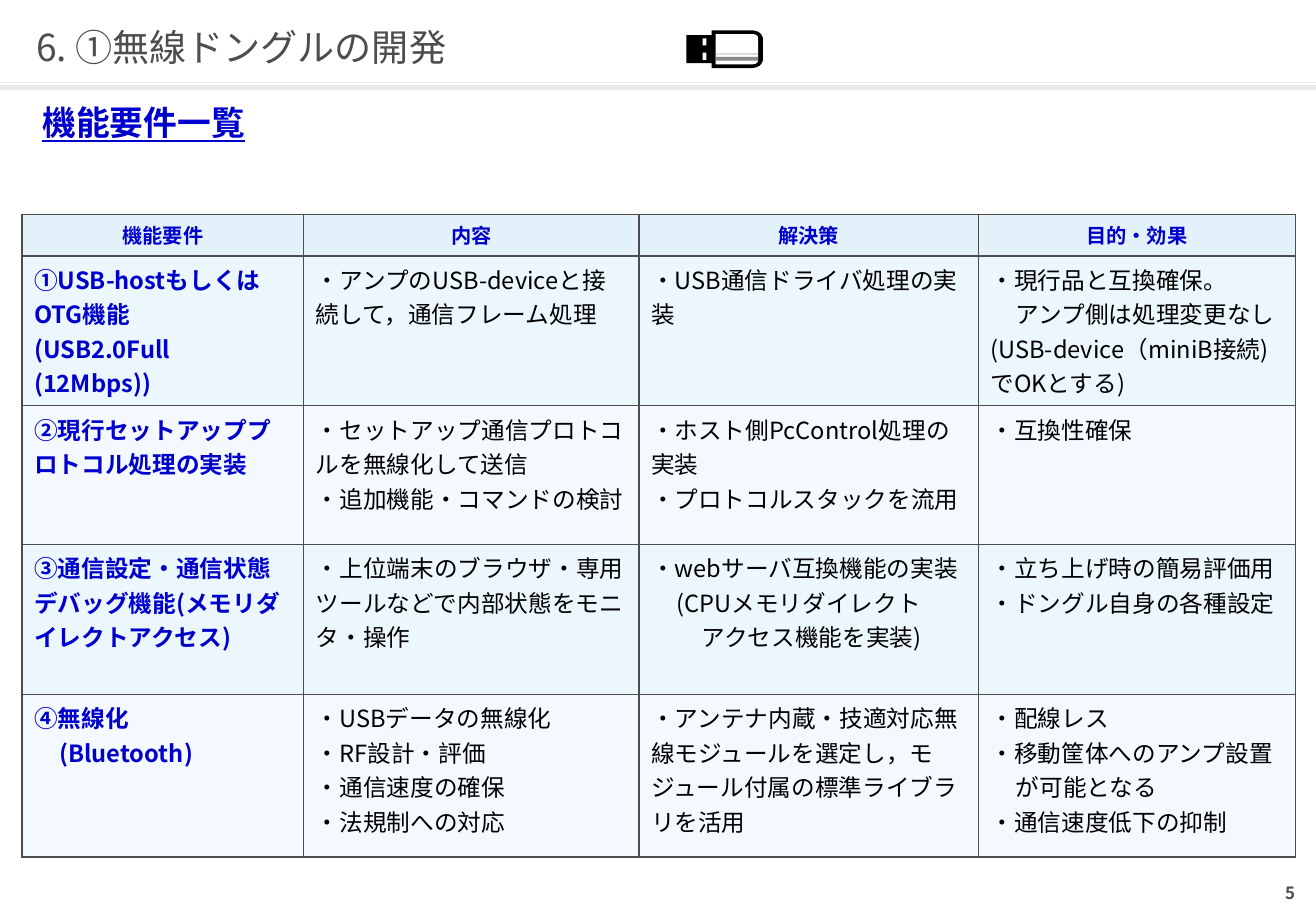
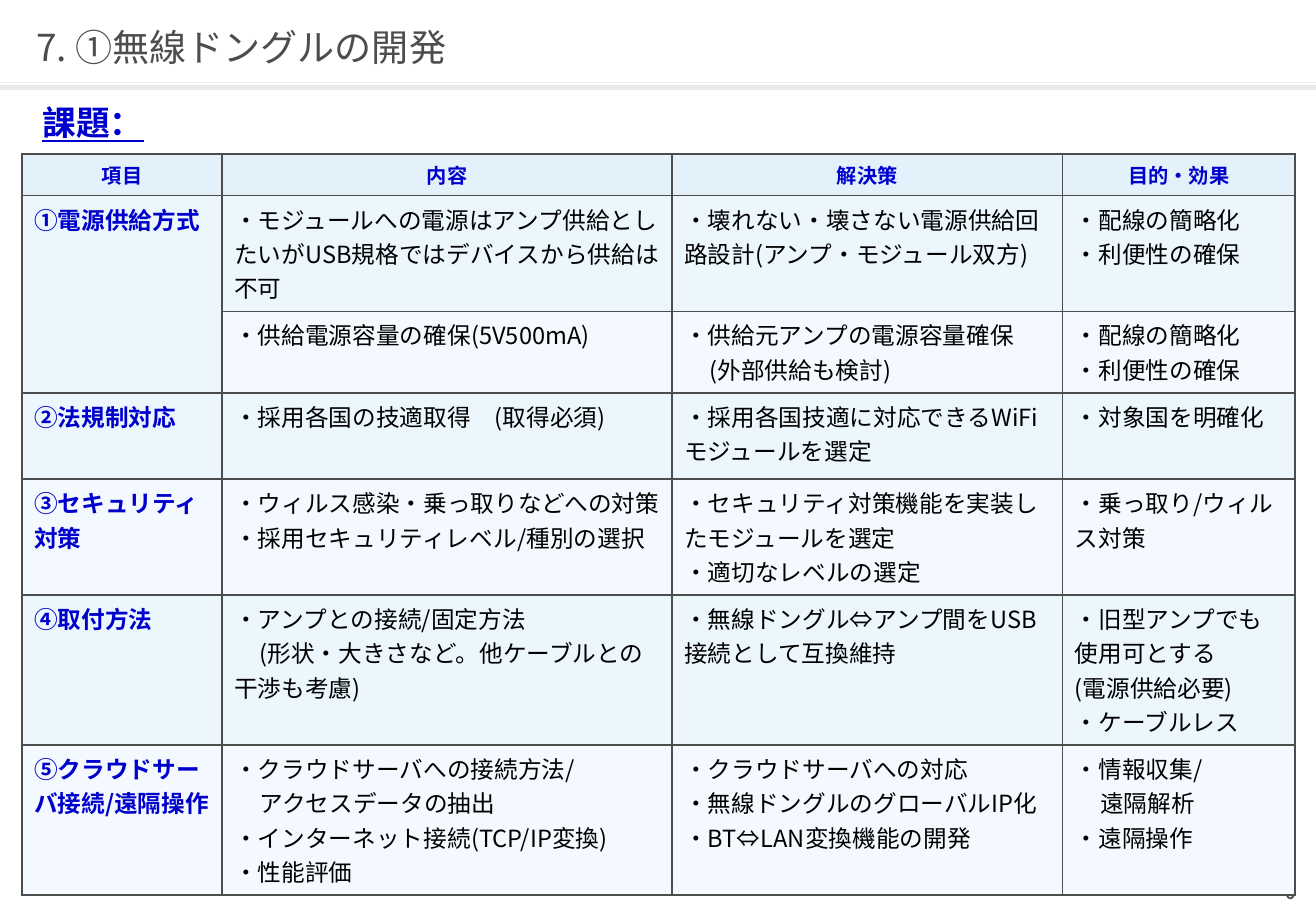
from dataclasses import dataclass

from lxml.etree import SubElement
from pptx import Presentation
from pptx.dml.color import RGBColor
from pptx.enum.shapes import MSO_CONNECTOR, MSO_SHAPE
from pptx.enum.text import MSO_ANCHOR, MSO_AUTO_SIZE, PP_ALIGN
from pptx.oxml.ns import qn
from pptx.util import Pt


@dataclass(frozen=True)
class Theme:
    font: str = "Noto Sans CJK JP"
    grey: str = "4D4D4D"
    accent: str = "0000CC"
    black: str = "000000"
    white: str = "FFFFFF"
    rule: str = "EAEAEA"
    header: str = "E2F1FA"
    bands: tuple = ("EBF6FD", "F3F9FE")
    stripe_dark: str = "888888"
    stripe_light: str = "C8C9CA"
    title_pt: float = 22
    heading_pt: float = 20
    header_pt: float = 12
    body_pt: float = 14
    number_pt: float = 10
    border_pt: float = 1
    indent_pt: float = 15


T = Theme()
WIDTH, HEIGHT = 780, 540
INDENT = ">"

REQUIREMENTS = [
    [["機能要件"], ["内容"], ["解決策"], ["目的・効果"]],
    [["①USB-hostもしくはOTG機能", "(USB2.0Full", "(12Mbps))"],
     ["・アンプのUSB-deviceと接続して，通信フレーム処理"],
     ["・USB通信ドライバ処理の実装"],
     ["・現行品と互換確保。", ">アンプ側は処理変更なし",
      "(USB-device（miniB接続)でOKとする)"]],
    [["②現行セットアッププロトコル処理の実装"],
     ["・セットアップ通信プロトコルを無線化して送信",
      "・追加機能・コマンドの検討"],
     ["・ホスト側PcControl処理の実装", "・プロトコルスタックを流用"],
     ["・互換性確保"]],
    [["③通信設定・通信状態デバッグ機能(メモリダイレクトアクセス)"],
     ["・上位端末のブラウザ・専用ツールなどで内部状態をモニタ・操作"],
     ["・webサーバ互換機能の実装", ">(CPUメモリダイレクト",
      ">>アクセス機能を実装)"],
     ["・立ち上げ時の簡易評価用", "・ドングル自身の各種設定"]],
    [["④無線化", ">(Bluetooth)"],
     ["・USBデータの無線化", "・RF設計・評価", "・通信速度の確保",
      "・法規制への対応"],
     ["・アンテナ内蔵・技適対応無線モジュールを選定し，"
      "モジュール付属の標準ライブラリを活用"],
     ["・配線レス", "・移動筐体へのアンプ設置", ">が可能となる",
      "・通信速度低下の抑制"]],
]

ISSUES = [
    [["項目"], ["内容"], ["解決策"], ["目的・効果"]],
    [["①電源供給方式"],
     ["・モジュールへの電源はアンプ供給としたいが"
      "USB規格ではデバイスから供給は不可"],
     ["・壊れない・壊さない電源供給回路設計(アンプ・モジュール双方)"],
     ["・配線の簡略化", "・利便性の確保"]],
    [[],
     ["・供給電源容量の確保(5V500mA)"],
     ["・供給元アンプの電源容量確保", ">(外部供給も検討)"],
     ["・配線の簡略化", "・利便性の確保"]],
    [["②法規制対応"],
     ["・採用各国の技適取得　(取得必須)"],
     ["・採用各国技適に対応できるWiFiモジュールを選定"],
     ["・対象国を明確化"]],
    [["③セキュリティ対策"],
     ["・ウィルス感染・乗っ取りなどへの対策",
      "・採用セキュリティレベル/種別の選択"],
     ["・セキュリティ対策機能を実装したモジュールを選定",
      "・適切なレベルの選定"],
     ["・乗っ取り/ウィルス対策"]],
    [["④取付方法"],
     ["・アンプとの接続/固定方法",
      ">(形状・大きさなど。他ケーブルとの干渉も考慮)"],
     ["・無線ドングル⇔アンプ間をUSB接続として互換維持"],
     ["・旧型アンプでも使用可とする", "(電源供給必要)", "・ケーブルレス"]],
    [["⑤クラウドサーバ接続/遠隔操作"],
     ["・クラウドサーバへの接続方法/", ">アクセスデータの抽出",
      "・インターネット接続(TCP/IP変換)", "・性能評価"],
     ["・クラウドサーバへの対応", "・無線ドングルのグローバルIP化",
      "・BT⇔LAN変換機能の開発"],
     ["・情報収集/", ">遠隔解析", "・遠隔操作"]],
]


def rgb(color):
    return RGBColor.from_string(color)


def box(*lengths):
    return [Pt(v) for v in lengths]


def add_run(p, text, size, color, bold=False, underline=False):
    r = p.add_run()
    r.text = text
    r.font.size = Pt(size)
    r.font.bold = bold
    r.font.underline = underline
    r.font.color.rgb = rgb(color)
    r.font.name = T.font
    SubElement(r._r.get_or_add_rPr(), qn("a:ea"), typeface=T.font)


def frame_text(tf, inset=True):
    tf.word_wrap = True
    tf.auto_size = MSO_AUTO_SIZE.NONE
    if not inset:
        tf.margin_left = tf.margin_right = tf.margin_top = tf.margin_bottom = 0
        tf.vertical_anchor = MSO_ANCHOR.MIDDLE
    return tf.paragraphs[0]


def paint(sp, color):
    sp.shadow.inherit = False
    sp.fill.solid()
    sp.fill.fore_color.rgb = rgb(color)
    sp.line.fill.background()
    return sp


def add_rect(shapes, x, y, w, h, color):
    return paint(shapes.add_shape(MSO_SHAPE.RECTANGLE, *box(x, y, w, h)), color)


def add_rules(s, layout):
    line = s.shapes.add_connector(MSO_CONNECTOR.STRAIGHT, *box(0, 49, WIDTH, 49))
    line.line.color.rgb = rgb(T.rule)
    line.line.width = Pt(0.75)
    SubElement(line.element.spPr, qn("a:effectLst"))
    band = add_rect(s.shapes, 0, 50.4, WIDTH, 2.9, T.rule)
    for sp in (line, band):
        layout.shapes.element.append(sp.element)


def add_title(s, text):
    sp = s.shapes.title
    sp.left, sp.top, sp.width, sp.height = box(21.6, 12.2, 737.3, 31)
    p = frame_text(sp.text_frame, inset=False)
    p.alignment = PP_ALIGN.LEFT
    add_run(p, text, T.title_pt, T.grey)


def add_number(s, number):
    sp = s.shapes.add_textbox(*box(585.4, 519.1, 182.2, 20.2))
    p = frame_text(sp.text_frame, inset=False)
    p.alignment = PP_ALIGN.RIGHT
    add_run(p, str(number), T.number_pt, T.grey, bold=True)


def add_heading(s, text):
    sp = s.shapes.add_textbox(*box(18, 57, 743, 31.7))
    add_run(frame_text(sp.text_frame), text, T.heading_pt, T.accent,
            bold=True, underline=True)


def format_cell(cell, fill):
    tcPr = cell._tc.get_or_add_tcPr()
    for side in ("lnL", "lnR", "lnT", "lnB"):
        ln = SubElement(tcPr, qn(f"a:{side}"), w=str(Pt(T.border_pt)))
        SubElement(SubElement(ln, qn("a:solidFill")), qn("a:srgbClr"), val=T.grey)
    cell.fill.solid()
    cell.fill.fore_color.rgb = rgb(fill)


def fill_cell(cell, lines, is_header, is_label):
    tf = cell.text_frame
    strong = is_header or is_label
    for i, line in enumerate(lines):
        p = tf.add_paragraph() if i else tf.paragraphs[0]
        text = line.lstrip(INDENT)
        steps = len(line) - len(text)
        if steps:
            p._p.get_or_add_pPr().set("indent", str(Pt(T.indent_pt * steps)))
        if is_header:
            p.alignment = PP_ALIGN.CENTER
        add_run(p, text, T.header_pt if is_header else T.body_pt,
                T.accent if strong else T.black, bold=strong)


def add_grid(s, rows, top, widths, heights):
    area = box(13, top, sum(widths), sum(heights))
    table = s.shapes.add_table(len(rows), len(widths), *area).table
    table.horz_banding = False
    for column, width in zip(table.columns, widths):
        column.width = Pt(width)
    for i, (row, height) in enumerate(zip(rows, heights)):
        table.rows[i].height = Pt(height)
        fill = T.bands[(i - 1) % 2] if i else T.header
        for j, lines in enumerate(row):
            cell = table.cell(i, j)
            format_cell(cell, fill)
            fill_cell(cell, lines, i == 0, j == 0)
            if not lines:
                table.cell(i - 1, j).merge(cell)


def add_symmetric_outline(shapes, upper, color, axis=29.15):
    lower = [(x, 2 * axis - y) for x, y in reversed(upper)]
    points = [(Pt(x), Pt(y)) for x, y in upper + lower]
    builder = shapes.build_freeform(*points[0])
    builder.add_line_segments(points[1:], close=True)
    paint(builder.convert_to_shape(), color)


def add_dongle_icon(s):
    shapes = s.shapes.add_group_shape().shapes
    add_symmetric_outline(shapes, [
        (406.8, 20.9), (421.9, 20.9), (421.9, 18), (446.4, 18),
        (448.6, 18.5), (450.4, 19.5), (451.6, 21), (452.2, 22.5)], T.black)
    add_symmetric_outline(shapes, [
        (424.1, 20.2), (446.4, 20.2), (447.9, 20.5), (449, 21.4),
        (449.3, 22.5)], T.white)
    for y in (22.7, 31.3):
        add_rect(shapes, 416.5, y, 2.2, 4.3, T.white)
    add_rect(shapes, 424.1, 33.8, 25.2, 2.2, T.stripe_dark)
    add_rect(shapes, 424.1, 31.7, 25.2, 0.7, T.stripe_light)


def add_page(prs, layout, title, number, heading, **grid):
    s = prs.slides.add_slide(layout)
    add_title(s, title)
    add_number(s, number)
    add_grid(s, **grid)
    add_heading(s, heading)
    return s


def main():
    prs = Presentation()
    prs.slide_width, prs.slide_height = box(WIDTH, HEIGHT)
    layout = prs.slide_layouts[5]
    s = add_page(prs, layout, "6. ①無線ドングルの開発", 5, "機能要件一覧",
                 rows=REQUIREMENTS, top=127,
                 widths=(167, 198.7, 201.2, 188),
                 heights=(24.6, 88.8, 82.2, 88.8, 96.5))
    add_rules(s, layout)
    add_dongle_icon(s)
    add_page(prs, layout, "7. ①無線ドングルの開発", 6, "課題：",
             rows=ISSUES, top=91.2,
             widths=(118.7, 266.6, 231.6, 137.6),
             heights=(24.5, 68.7, 48.4, 51.1, 68.7, 88.6, 88.9))
    prs.save("out.pptx")


if __name__ == "__main__":
    main()
